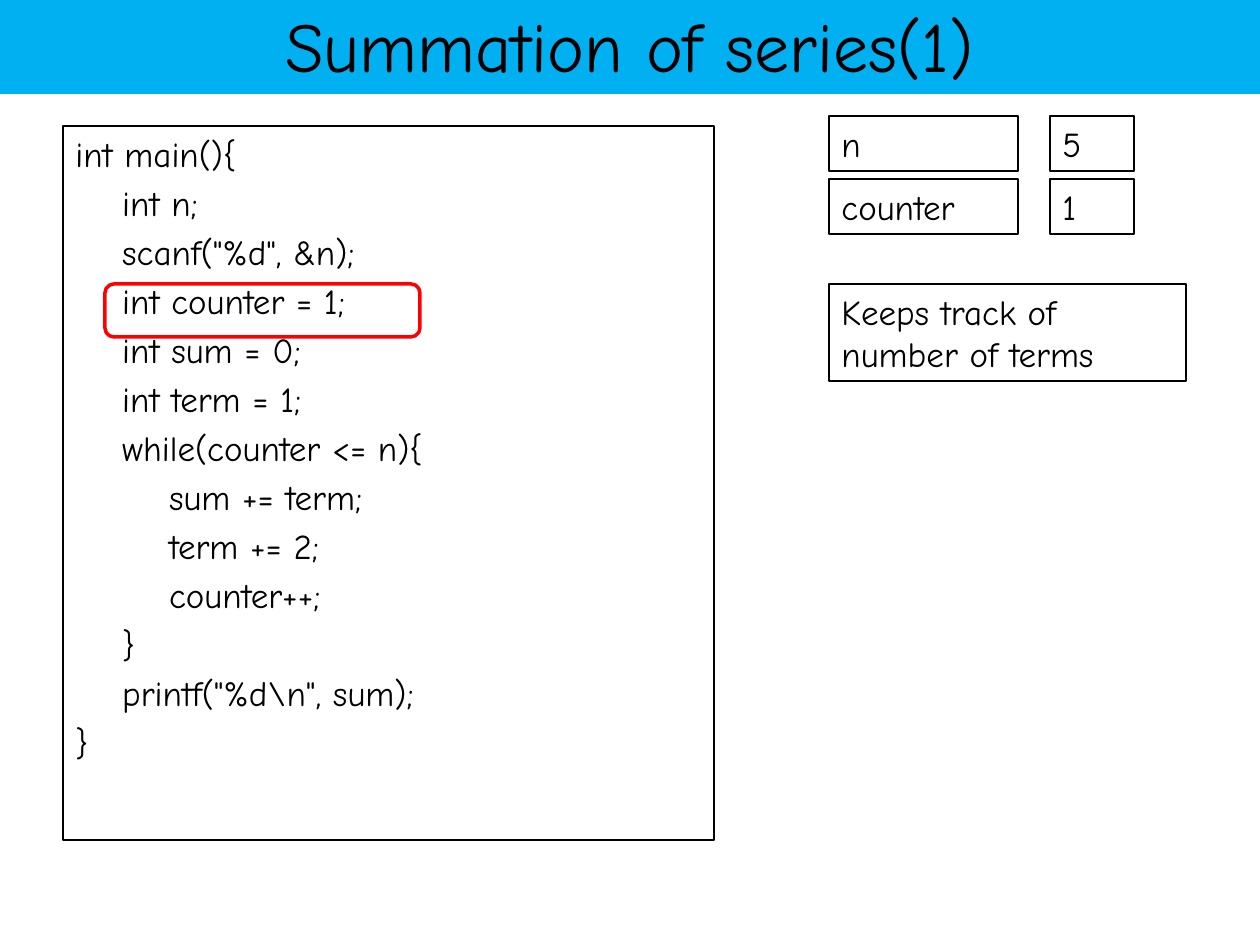
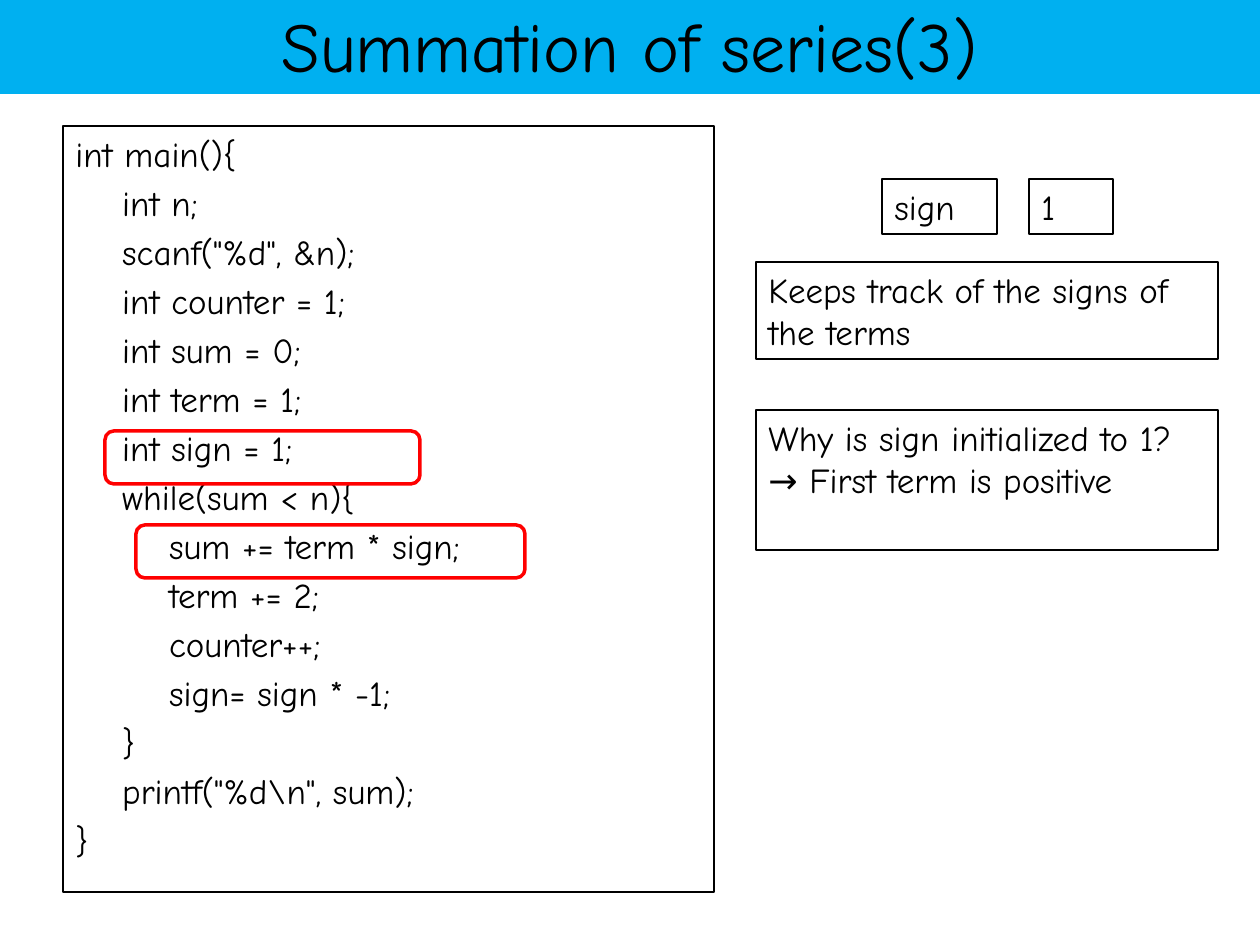
from pptx import Presentation
from pptx.dml.color import RGBColor
from pptx.enum.shapes import MSO_SHAPE as Shape
from pptx.enum.text import MSO_ANCHOR as Anchor, PP_ALIGN as Align
from pptx.util import Emu, Pt

PX = 914400 / 126
WIDTH, HEIGHT = 1260, 945
BLACK, RED, SKY = "000000", "FF0000", "00B0F0"

SERIES_1 = r"""int main(){
    int n;
    scanf("%d", &n);
    int counter = 1;
    int sum = 0;
    int term = 1;
    while(counter <= n){
        sum += term;
        term += 2;
        counter++;
    }
    printf("%d\n", sum);
}"""

SERIES_3 = r"""int main(){
    int n;
    scanf("%d", &n);
    int counter = 1;
    int sum = 0;
    int term = 1;
    int sign = 1;
    while(sum < n){
        sum += term * sign;
        term += 2;
        counter++;
        sign= sign * -1;
    }
    printf("%d\n", sum);
}"""


def emu(px):
    return Emu(round(px * PX))


def color(value):
    return RGBColor.from_string(value)


class CodeDeck:
    """Builds slides that walk through a program and its variables."""

    font = "Comic Neue"
    title_size, body_size = 40, 20
    value_gap, value_width, row_height = 32, 84, 55

    def __init__(self):
        self.deck = Presentation()
        self.deck.slide_width, self.deck.slide_height = emu(WIDTH), emu(HEIGHT)
        self.page = None

    def shape(self, kind, left, top, width, height, fill=None, line=None, weight=0.75):
        box = self.page.shapes.add_shape(kind, emu(left), emu(top), emu(width), emu(height))
        box.shadow.inherit = False
        if fill:
            box.fill.solid()
            box.fill.fore_color.rgb = color(fill)
        else:
            box.fill.background()
        if line:
            box.line.color.rgb = color(line)
            box.line.width = Pt(weight)
        else:
            box.line.fill.background()
        return box

    def set_text(self, box, lines, size, align=Align.LEFT, anchor=Anchor.TOP, gap=0):
        frame = box.text_frame
        frame.word_wrap = True
        frame.vertical_anchor = anchor
        for index, line in enumerate(lines):
            para = frame.add_paragraph() if index else frame.paragraphs[0]
            para.text = line
            para.alignment = align
            para.space_before = Pt(gap if index else 0)
            para.font.name = self.font
            para.font.size = Pt(size)
            para.font.color.rgb = color(BLACK)

    def start(self, title):
        self.page = self.deck.slides.add_slide(self.deck.slide_layouts[6])
        band = self.shape(Shape.RECTANGLE, -1, -4, WIDTH + 1, 98, fill=SKY)
        self.set_text(band, [title], self.title_size, Align.CENTER, Anchor.MIDDLE)

    def note(self, left, top, width, height, *lines, gap=0):
        box = self.shape(Shape.RECTANGLE, left, top, width, height, line=BLACK)
        self.set_text(box, lines, self.body_size, gap=gap)

    def code(self, source, height):
        self.note(63, 126, 651, height, *source.splitlines(), gap=4)

    def variable(self, left, top, width, name, value):
        self.note(left, top, width, self.row_height, name)
        value_left = left + width + self.value_gap
        self.note(value_left, top, self.value_width, self.row_height, value)

    def highlight(self, left, top, width):
        self.shape(Shape.ROUNDED_RECTANGLE, left, top, width, 53, line=RED, weight=2)


def main():
    show = CodeDeck()

    show.start("Summation of series(1)")
    show.code(SERIES_1, 714)
    show.highlight(105, 284, 315)
    for row, (name, value) in enumerate([("n", "5"), ("counter", "1")]):
        show.variable(829, 116 + 63 * row, 189, name, value)
    show.note(829, 284, 357, 97, "Keeps track of number of terms")

    show.start("Summation of series(3)")
    show.code(SERIES_3, 766)
    show.highlight(105, 431, 315)
    show.highlight(136, 525, 389)
    show.variable(882, 179, 115, "sign", "1")
    show.note(756, 262, 462, 97, "Keeps track of the signs of the terms")
    show.note(756, 410, 462, 140, "Why is sign initialized to 1?", "→ First term is positive")

    show.deck.save("out.pptx")


if __name__ == "__main__":
    main()
